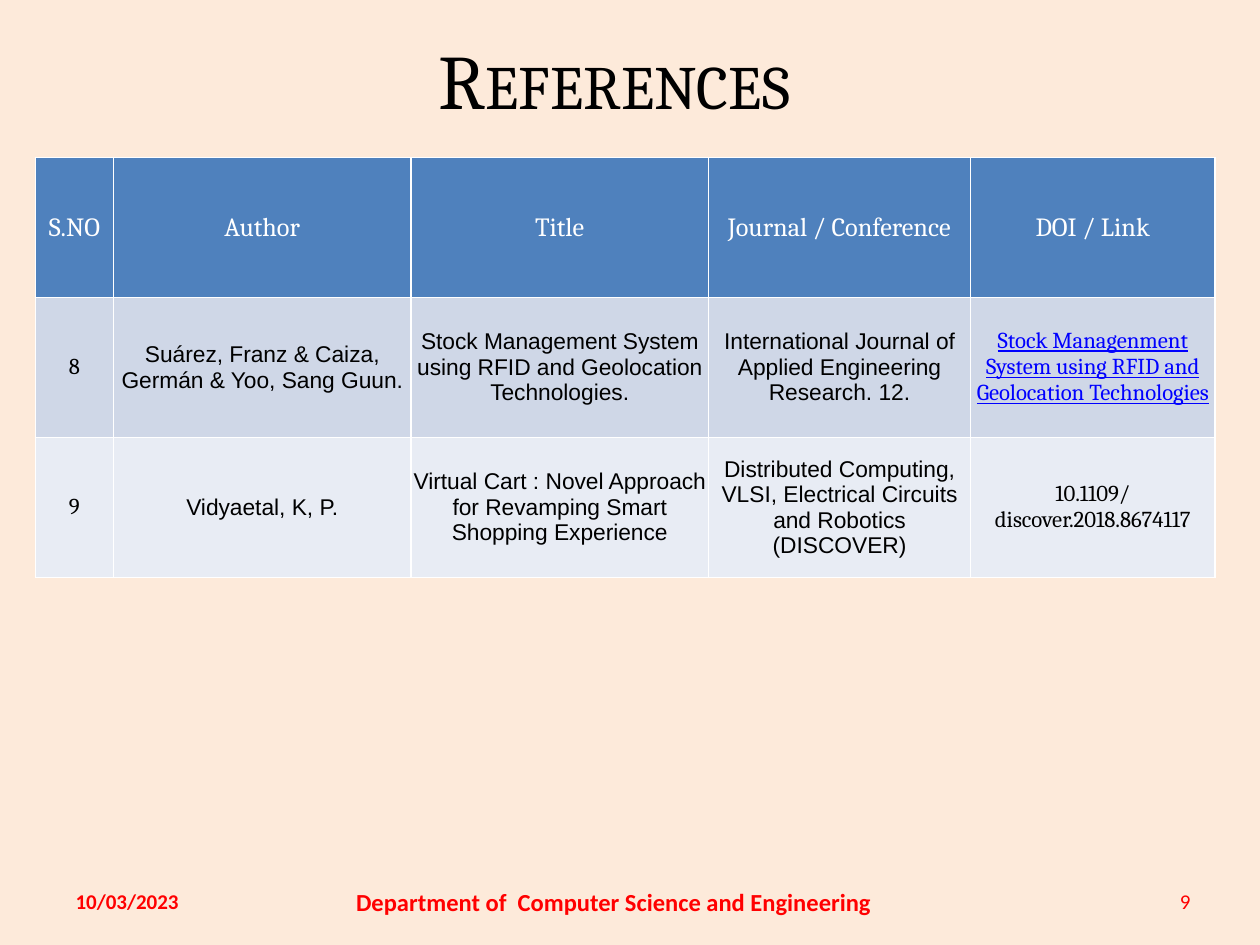
import dataclasses

import pptx
import pptx.dml.color
import pptx.enum.text
import pptx.util

Pt = pptx.util.Pt
Rgb = pptx.dml.color.RGBColor.from_string
Align = pptx.enum.text.PP_ALIGN
Anchor = pptx.enum.text.MSO_ANCHOR
Fit = pptx.enum.text.MSO_AUTO_SIZE


@dataclasses.dataclass(frozen=True)
class Theme:
    page: str = "FDEADA"
    head: str = "4F81BD"
    bands: tuple = ("CFD7E7", "E8ECF4")
    ink: str = "000000"
    pale: str = "FFFFFF"
    link: str = "0000FF"
    note: str = "FF0000"
    serif: str = "Cambria"
    sans: str = "Arial"
    foot: str = "Calibri"
    title: int = 44
    label: int = 15
    body: int = 13
    dept: int = 14
    small: int = 12


THEME = Theme()
PAD = 3.6
COLS = (44.6, 170, 170, 149.8, 139.7)
ROW = 80
HEAD = ("S.NO", "Author", "Title", "Journal / Conference", "DOI / Link")
REFS = (
    ("8", "Suárez, Franz & Caiza, Germán & Yoo, Sang Guun.",
     "Stock Management System using RFID and Geolocation Technologies.",
     "International Journal of Applied Engineering Research. 12.",
     "Stock Managenment System using RFID and Geolocation Technologies"),
    ("9", "Vidyaetal, K, P.",
     "Virtual Cart : Novel Approach for Revamping Smart Shopping Experience",
     "Distributed Computing, VLSI, Electrical Circuits and Robotics (DISCOVER)",
     "10.1109/discover.2018.8674117"),
)


def pad(item, gap):
    item.margin_left = item.margin_right = Pt(gap)
    item.margin_top = item.margin_bottom = Pt(gap)
    item.vertical_anchor = Anchor.MIDDLE


def write(frame, text, face, size, color, align=Align.CENTER, bold=False):
    frame.text = text
    line = frame.paragraphs[0]
    line.alignment = align
    font = line.runs[0].font
    font.name, font.size, font.bold = face, Pt(size), bold
    font.color.rgb = Rgb(color)
    return line.runs[0]


def add_title(slide, text):
    shape = slide.shapes.title
    shape.left, shape.top = Pt(15.8), Pt(0)
    shape.width, shape.height = Pt(670.3), Pt(90)
    frame = shape.text_frame
    pad(frame, PAD)
    frame.auto_size = Fit.NONE
    run = write(frame, text, THEME.serif, THEME.title, THEME.ink)
    run._r.get_or_add_rPr().set("cap", "small")


def add_note(slide, box, text, size, align, bold=True, wrap=True):
    frame = slide.shapes.add_textbox(*map(Pt, box)).text_frame
    pad(frame, PAD)
    frame.word_wrap = wrap
    write(frame, text, THEME.foot, size, THEME.note, align, bold)


def fill_cell(cell, text, fill, face, size, color, gap):
    pad(cell, gap)
    cell.fill.solid()
    cell.fill.fore_color.rgb = Rgb(fill)
    return write(cell.text_frame, text, face, size, color)


def add_refs(slide):
    count = len(REFS) + 1
    table = slide.shapes.add_table(
        count, len(COLS), Pt(20.2), Pt(90), Pt(sum(COLS)), Pt(ROW * count)).table
    for col, width in zip(table.columns, COLS):
        col.width = Pt(width)
    for row in table.rows:
        row.height = Pt(ROW)
    for col, text in enumerate(HEAD):
        fill_cell(table.cell(0, col), text, THEME.head, THEME.serif,
                  THEME.label, THEME.pale, PAD)
    last = len(COLS) - 1
    for row, (ref, band) in enumerate(zip(REFS, THEME.bands), 1):
        for col, text in enumerate(ref):
            face = THEME.serif if col in (0, last) else THEME.sans
            run = fill_cell(table.cell(row, col), text, band, face,
                            THEME.body, THEME.ink, 0)
            if (row, col) == (1, last):
                run.font.underline = True
                run.font.color.rgb = Rgb(THEME.link)


def main():
    """Build the references slide and save it."""
    deck = pptx.Presentation()
    deck.slide_width, deck.slide_height = Pt(720), Pt(540)
    slide = deck.slides.add_slide(deck.slide_layouts[5])
    slide.background.fill.solid()
    slide.background.fill.fore_color.rgb = Rgb(THEME.page)
    add_title(slide, "References")
    add_refs(slide)
    add_note(slide, (189.4, 504, 322.6, 22.3),
             "Department of  Computer Science and Engineering",
             THEME.dept, Align.CENTER)
    add_note(slide, (39.6, 505.4, 160.6, 19.4), "10/03/2023",
             THEME.small, Align.LEFT)
    add_note(slide, (669.6, 505.4, 14.4, 19.4), "9",
             THEME.small, Align.RIGHT, bold=False, wrap=False)
    deck.save("out.pptx")


if __name__ == "__main__":
    main()
